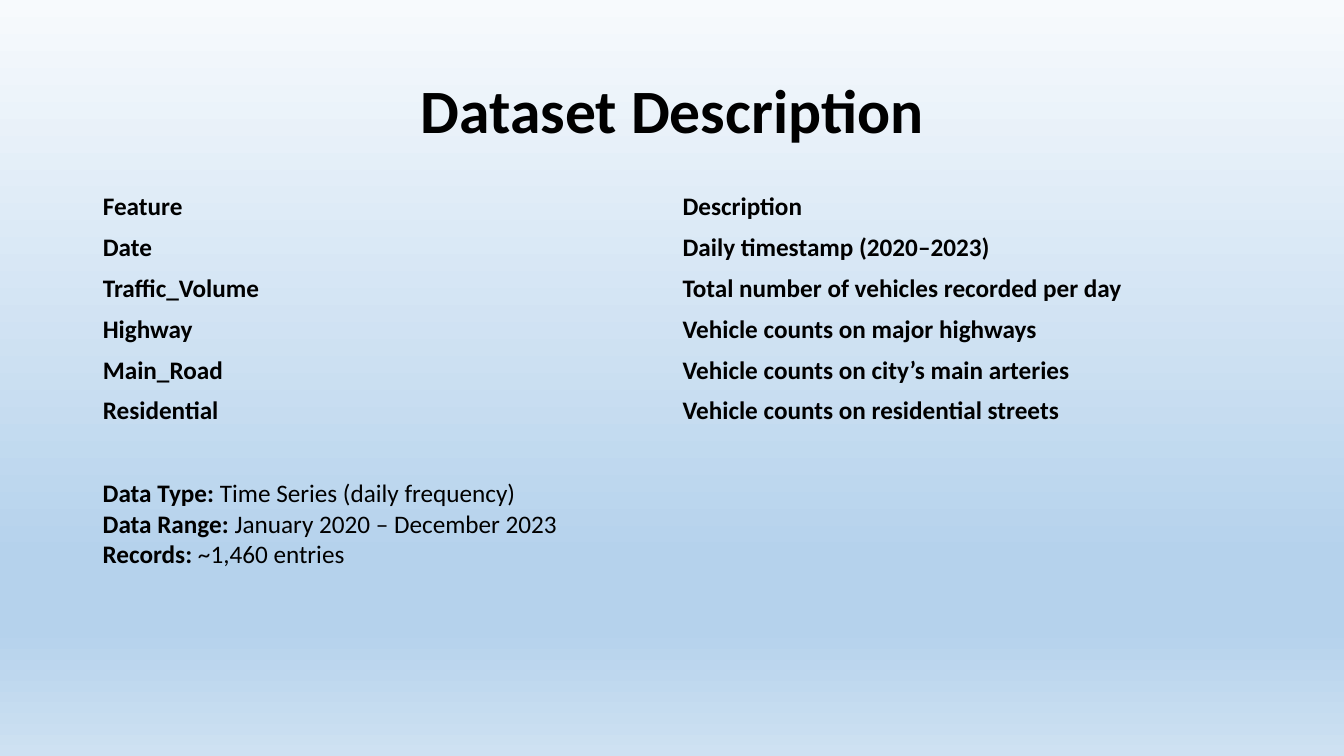
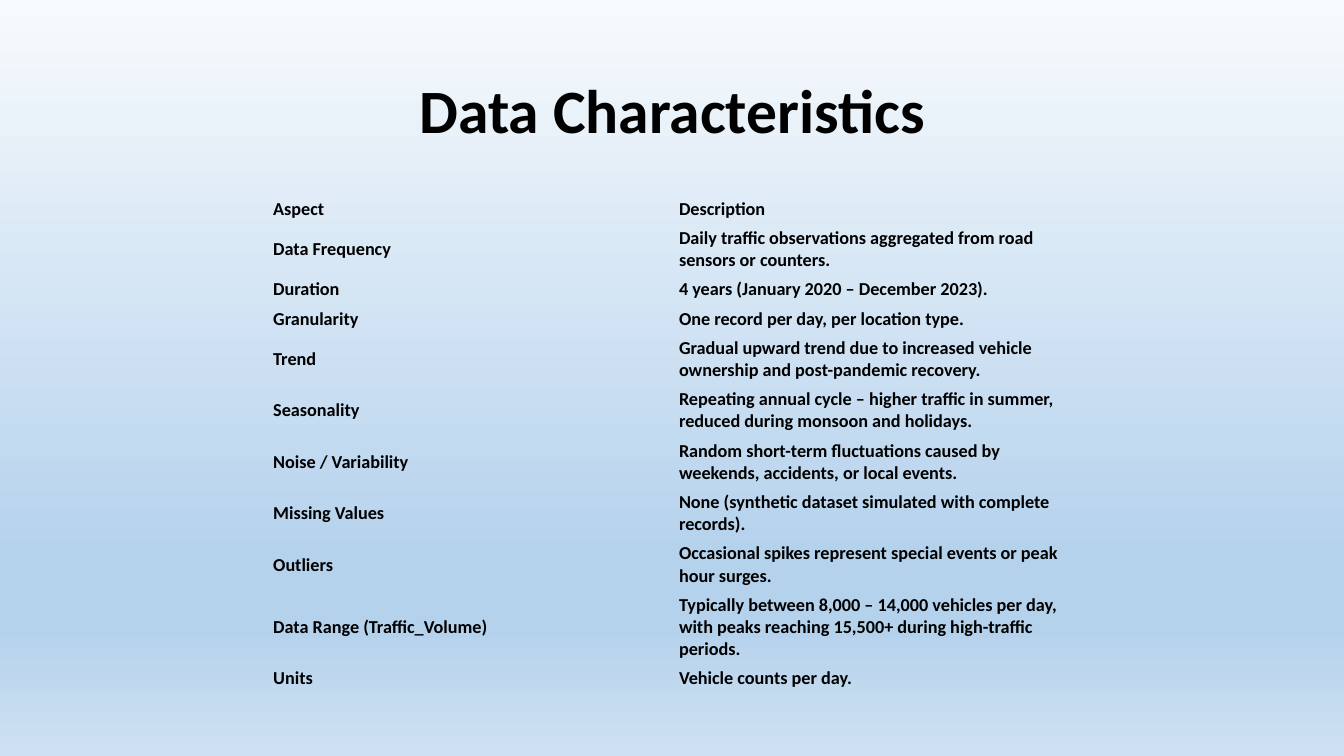
from copy import deepcopy

from pptx import Presentation
from pptx.dml.color import RGBColor
from pptx.enum.text import MSO_ANCHOR as Anchor, PP_ALIGN as Align
from pptx.oxml.ns import qn
from pptx.util import Inches, Pt

FONT = "Calibri"
INK = "000000"
SKY = [(0, "F7FAFD"), (0.74, "B5D2EC"), (0.83, "B5D2EC"), (1, "CEE1F2")]
TITLE_BOX = (0.92, 0.4, 11.5, 1.45)
PLAIN = "{2D5ABB26-0587-4C30-8999-92F81FD0307C}"  # table style without grid

FIELDS = [
    ("Feature", "Description"),
    ("Date", "Daily timestamp (2020–2023)"),
    ("Traffic_Volume", "Total number of vehicles recorded per day"),
    ("Highway", "Vehicle counts on major highways"),
    ("Main_Road", "Vehicle counts on city’s main arteries"),
    ("Residential", "Vehicle counts on residential streets"),
]
FACTS = [
    ("Data Type:", " Time Series (daily frequency)"),
    ("Data Range:", " January 2020 – December 2023"),
    ("Records:", " ~1,460 entries"),
]
ASPECTS = [
    ("Aspect", "Description"),
    ("Data Frequency", "Daily traffic observations aggregated from road sensors or counters."),
    ("Duration", "4 years (January 2020 – December 2023)."),
    ("Granularity", "One record per day, per location type."),
    ("Trend", "Gradual upward trend due to increased vehicle ownership and post-pandemic recovery."),
    ("Seasonality", "Repeating annual cycle – higher traffic in summer, reduced during monsoon and holidays."),
    ("Noise / Variability", "Random short-term fluctuations caused by weekends, accidents, or local events."),
    ("Missing Values", "None (synthetic dataset simulated with complete records)."),
    ("Outliers", "Occasional spikes represent special events or peak hour surges."),
    ("Data Range (Traffic_Volume)", "Typically between 8,000 – 14,000 vehicles per day, "
     "with peaks reaching 15,500+ during high-traffic periods."),
    ("Units", "Vehicle counts per day."),
]
ASPECT_LINES = [1, 2, 1, 1, 2, 2, 2, 2, 2, 3, 1]


def color(code):
    return RGBColor.from_string(code)


def style(run, size, bold=True):
    font = run.font
    font.name, font.size, font.bold = FONT, Pt(size), bold
    font.color.rgb = color(INK)


def place(shape, box):
    shape.left, shape.top, shape.width, shape.height = map(Inches, box)


def paint_sky(master):
    """Give every slide the shared vertical gradient."""
    fill = master.background.fill
    fill.gradient()
    fill.gradient_angle = 270
    stops = master.element.find(".//" + qn("a:gsLst"))
    while len(stops) < len(SKY):
        stops.append(deepcopy(stops[-1]))
    for stop, (pos, code) in zip(fill.gradient_stops, SKY):
        stop.position = pos
        stop.color.rgb = color(code)


def add_page(deck, title):
    page = deck.slides.add_slide(deck.slide_layouts.get_by_name("Title Only"))
    head = page.shapes.title
    place(head, TITLE_BOX)
    frame = head.text_frame
    frame.text = title
    frame.vertical_anchor = Anchor.MIDDLE
    para = frame.paragraphs[0]
    para.alignment = Align.CENTER
    para.line_spacing = 0.9
    style(para.runs[0], 44)
    return page


def add_grid(page, rows, left, top, width, heights, size, pad=(0.1, 0.05)):
    """Draw a two-column table without fills or borders."""
    box = map(Inches, (left, top, width, sum(heights)))
    frame = page.shapes.add_table(len(rows), 2, *box)
    table = frame.table
    table.first_row = table.horz_banding = False
    frame.element.find(".//" + qn("a:tableStyleId")).text = PLAIN
    for r, (pair, height) in enumerate(zip(rows, heights)):
        table.rows[r].height = Inches(height)
        for c, text in enumerate(pair):
            cell = table.cell(r, c)
            cell.fill.background()
            cell.vertical_anchor = Anchor.MIDDLE
            cell.margin_left = cell.margin_right = Inches(pad[0])
            cell.margin_top = cell.margin_bottom = Inches(pad[1])
            cell.text_frame.text = text
            style(cell.text_frame.paragraphs[0].runs[0], size)


def add_facts(page, facts, box):
    """Write one line per fact, with a bold label."""
    frame = page.shapes.add_textbox(*map(Inches, box)).text_frame
    frame.word_wrap = True
    for i, fact in enumerate(facts):
        para = frame.add_paragraph() if i else frame.paragraphs[0]
        for text, bold in zip(fact, (True, False)):
            run = para.add_run()
            run.text = text
            style(run, 18, bold)


def main():
    deck = Presentation()
    deck.slide_width, deck.slide_height = Inches(13.33), Inches(7.5)
    paint_sky(deck.slide_master)

    # Dataset fields
    page = add_page(deck, "Dataset Description")
    add_grid(page, FIELDS, 0.92, 1.85, 11.5, [0.4] * len(FIELDS), 18)
    add_facts(page, FACTS, (0.92, 4.69, 6.67, 1.01))

    # Data aspects, each row as tall as its lines of text
    page = add_page(deck, "Data Characteristics")
    heights = [0.07 + 0.22 * n for n in ASPECT_LINES]
    add_grid(page, ASPECTS, 2.64, 1.93, 8.05, heights, 13, (0.07, 0.03))

    deck.save("out.pptx")


if __name__ == "__main__":
    main()
